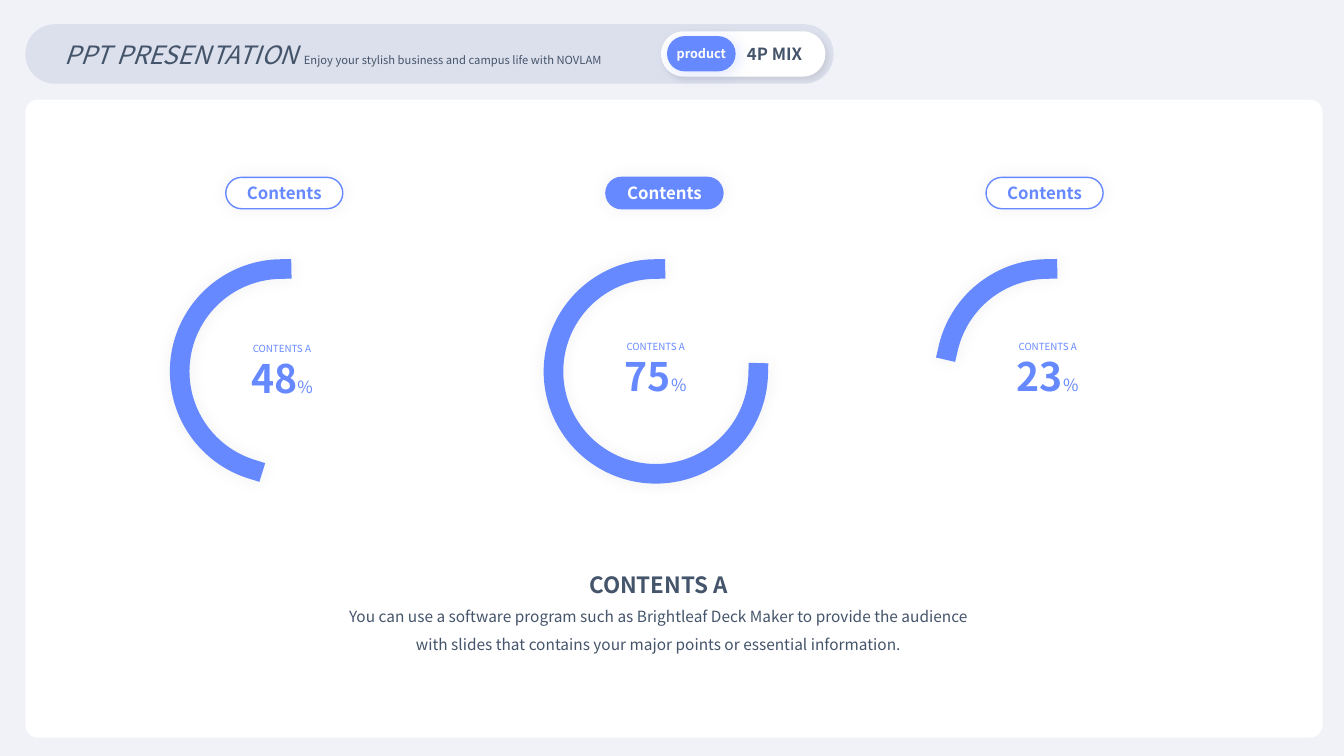
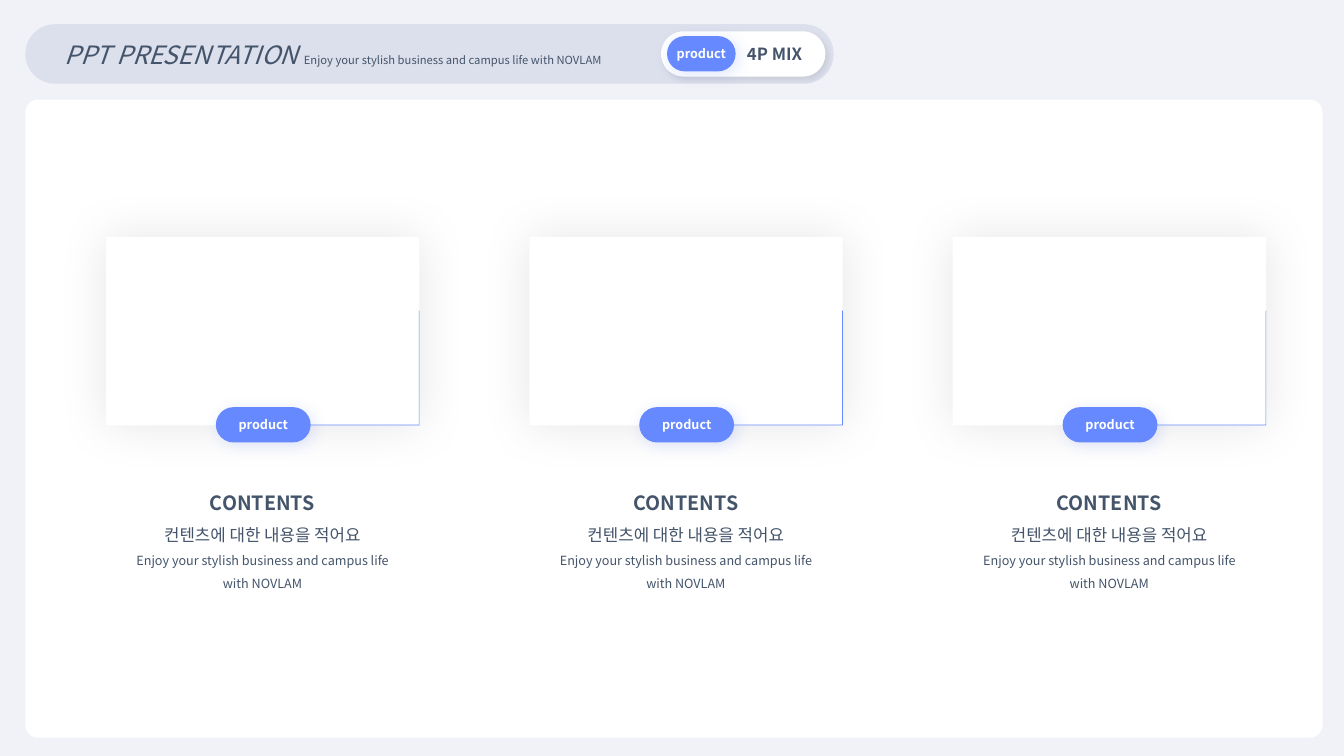
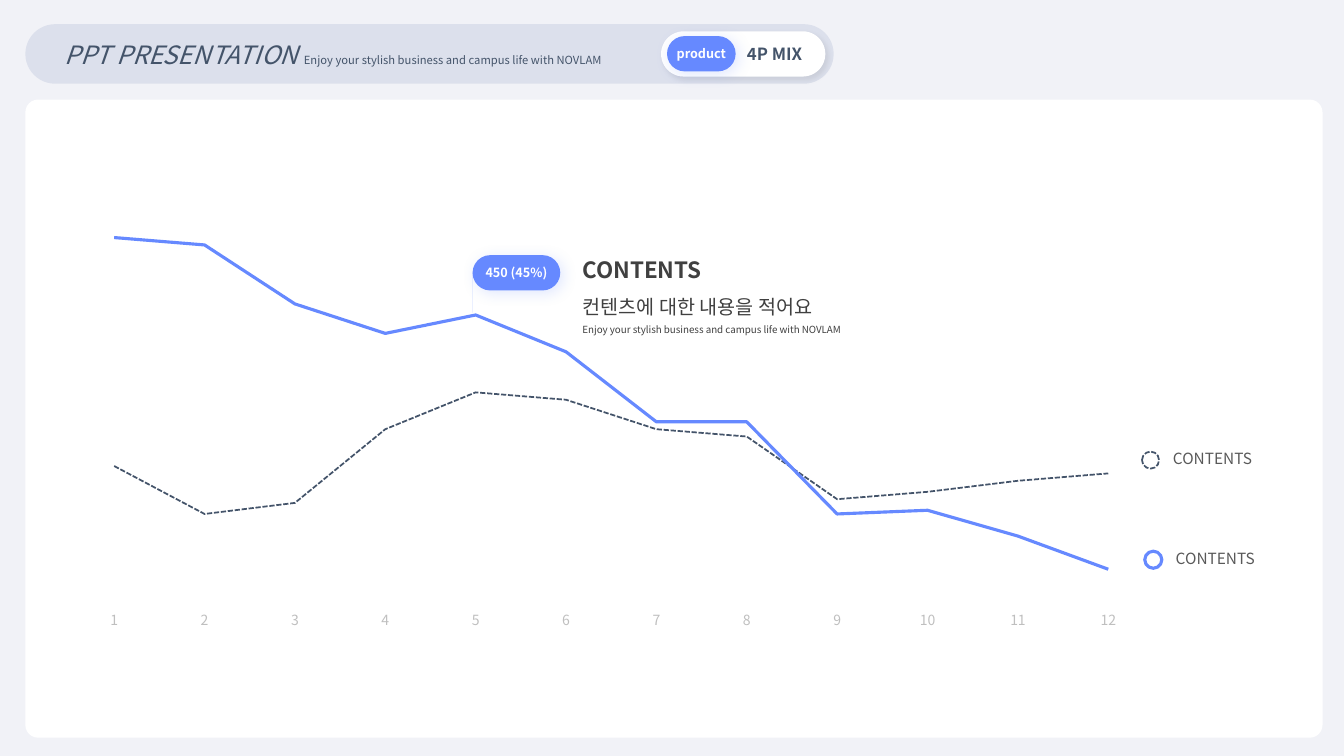
from dataclasses import dataclass
from typing import Optional, Sequence

from lxml import etree
from pptx import Presentation
from pptx import util as u
from pptx.chart import data
from pptx.dml.color import RGBColor
from pptx.enum import chart as ec
from pptx.enum import dml, shapes, text
from pptx.oxml import ns
from pptx.shapes.autoshape import Shape
from pptx.slide import Slide

BLUE = RGBColor(0x66, 0x89, 0xFF)
NAVY = RGBColor(0x44, 0x54, 0x6A)
WHITE = RGBColor(0xFF, 0xFF, 0xFF)
BLACK = RGBColor(0, 0, 0)
BACK = RGBColor(0xF1, 0xF2, 0xF7)
BAND = RGBColor(0xDC, 0xE0, 0xEC)
DARK = RGBColor(0x40, 0x40, 0x40)
GREY = RGBColor(0x59, 0x59, 0x59)
PALE = RGBColor(0xBF, 0xBF, 0xBF)
FONT = "Noto Sans CJK KR"
SLOGAN = "Enjoy your stylish business and campus life with NOVLAM"
KOREAN = "컨텐츠에 대한 내용을 적어요"
KIND = shapes.MSO_SHAPE
LEFT = text.PP_ALIGN.LEFT
CENTER = text.PP_ALIGN.CENTER
DASH = dml.MSO_LINE.SQUARE_DOT


@dataclass(frozen=True)
class Box:
    left: float
    top: float
    width: float
    height: float

    def move(self, right: float) -> "Box":
        return Box(self.left + right, self.top, self.width, self.height)

    def emu(self) -> tuple:
        return tuple(u.Cm(n) for n in (self.left, self.top, self.width, self.height))


@dataclass(frozen=True)
class Run:
    text: str
    size: float
    bold: bool = False
    slant: bool = False


@dataclass(frozen=True)
class Glow:
    ink: RGBColor
    alpha: int
    blur: float
    dist: float = 0
    angle: int = 0


@dataclass(frozen=True)
class Gauge:
    left: float
    top: float
    start: float
    value: str
    solid: bool = False


@dataclass(frozen=True)
class Trend:
    name: str
    values: tuple
    ink: RGBColor
    width: float
    left: float
    top: float
    dash: Optional[dml.MSO_LINE] = None


SOFT = Glow(BLACK, 5, 12)
HALO = Glow(BLUE, 20, 11, 3, 45)
EDGE = Glow(BLACK, 8, 4, 3, 45)
CLOUD = Glow(BLACK, 9, 36)

GAUGES = (
    Gauge(4.22, 6.48, 106.53, "48"),
    Gauge(13.64, 6.45, 0.8, "75", True),
    Gauge(23.52, 6.45, 191.97, "23"),
)
TRENDS = (
    Trend("Series 1", (38, 25, 28, 48, 58, 56, 48, 46, 29, 31, 34, 36),
          NAVY, 1.25, 28.78, 11.38, DASH),
    Trend("Series 2", (100, 98, 82, 74, 79, 69, 50, 50, 25, 26, 19, 10),
          BLUE, 2.25, 28.85, 13.89),
)


def write(shape: Shape, lines: Sequence[Sequence[Run]], *, ink: RGBColor = NAVY,
          align: text.PP_ALIGN = CENTER, space: float = 1, wrap: bool = False,
          anchor: text.MSO_ANCHOR = text.MSO_ANCHOR.MIDDLE,
          fit: text.MSO_AUTO_SIZE = text.MSO_AUTO_SIZE.NONE) -> None:
    frame = shape.text_frame
    frame.word_wrap, frame.vertical_anchor, frame.auto_size = wrap, anchor, fit
    for num, line in enumerate(lines):
        para = frame.add_paragraph() if num else frame.paragraphs[0]
        para.alignment, para.line_spacing = align, space
        for item in line:
            run = para.add_run()
            run.text = item.text
            font = run.font
            font.size, font.bold, font.italic = u.Pt(item.size), item.bold, item.slant
            font.color.rgb, font.name = ink, FONT
            asian = etree.SubElement(run._r.get_or_add_rPr(), ns.qn("a:ea"))
            asian.set("typeface", FONT)


def style(shape: Shape, *, fill: Optional[RGBColor] = None,
          line: Optional[RGBColor] = None, width: float = 1,
          dash: Optional[dml.MSO_LINE] = None, glow: Optional[Glow] = None) -> Shape:
    if fill is None:
        shape.fill.background()
    else:
        shape.fill.solid()
        shape.fill.fore_color.rgb = fill
    if line is None:
        shape.line.fill.background()
    else:
        shape.line.color.rgb = line
        shape.line.width = u.Pt(width)
        if dash is not None:
            shape.line.dash_style = dash
    shape.shadow.inherit = False
    if glow:
        host = shape._element.spPr.find(ns.qn("a:effectLst"))
        shade = etree.SubElement(host, ns.qn("a:outerShdw"), blurRad=str(u.Pt(glow.blur)),
                                 dist=str(u.Pt(glow.dist)), dir=str(glow.angle * 60000),
                                 algn="ctr", rotWithShape="0")
        tint = etree.SubElement(shade, ns.qn("a:srgbClr"), val=str(glow.ink))
        etree.SubElement(tint, ns.qn("a:alpha"), val=str(glow.alpha * 1000))
    return shape


def draw(slide: Slide, kind: KIND, box: Box, adjust: Sequence[float] = (), **look) -> Shape:
    shape = slide.shapes.add_shape(kind, *box.emu())
    for num, value in enumerate(adjust):
        shape.adjustments[num] = value
    return style(shape, **look)


def pill(slide: Slide, box: Box, **look) -> Shape:
    return draw(slide, KIND.ROUNDED_RECTANGLE, box, (0.5,), **look)


def badge(slide: Slide, box: Box, label: str) -> None:
    shape = pill(slide, box, fill=BLUE, glow=HALO)
    write(shape, [[Run(label, 9, True)]], ink=WHITE)


def note(slide: Slide, box: Box, lines: Sequence[Sequence[Run]], **look) -> None:
    look = {"wrap": True, "space": 1.5, **look}
    write(slide.shapes.add_textbox(*box.emu()), lines, anchor=text.MSO_ANCHOR.TOP,
          fit=text.MSO_AUTO_SIZE.SHAPE_TO_FIT_TEXT, **look)


def start(deck: Presentation) -> Slide:
    slide = deck.slides.add_slide(deck.slide_layouts.get_by_name("Title Only"))
    draw(slide, KIND.ROUNDED_RECTANGLE, Box(0.64, 2.51, 32.69, 16.08), (0.02,), fill=WHITE)
    band = Box(0.64, 0.61, 20.37, 1.5)
    pill(slide, band, fill=BAND)
    title = slide.shapes.title
    title.left, title.top, title.width, title.height = band.emu()
    title.text_frame.margin_left = u.Cm(0.98)
    write(title, [[Run("PPT PRESENTATION ", 18, slant=True), Run(SLOGAN, 8)]],
          align=LEFT, wrap=True)
    slide.shapes._spTree.append(title._element)
    topic = pill(slide, Box(16.66, 0.79, 4.14, 1.14), fill=WHITE, glow=EDGE)
    topic.text_frame.margin_left = u.Cm(2)
    topic.text_frame.margin_right = 0
    write(topic, [[Run("4P MIX", 12, True)]], align=LEFT, wrap=True)
    badge(slide, Box(16.81, 0.91, 1.73, 0.89), "product")
    return slide


def gauges(deck: Presentation) -> None:
    slide = start(deck)
    for num, item in enumerate(GAUGES):
        ring = draw(slide, KIND.DONUT, Box(item.left, item.top, 5.77, 5.77), (0.09,),
                    fill=WHITE)
        write(ring, [[Run("CONTENTS A", 7)], [Run(item.value, 28, True), Run("%", 12)]],
              ink=BLUE)
        arc = draw(slide, KIND.ARC, Box(item.left + 0.31, 6.78, 5.16, 5.16),
                   (item.start * 0.6, 269.74 * 0.6), line=BLUE, width=14, glow=SOFT)
        arc.line._ln.set("cap", "sq")
        label = pill(slide, Box(5.69, 4.47, 2.95, 0.79).move(num * 9.58),
                     fill=BLUE if item.solid else WHITE, line=BLUE, glow=SOFT)
        write(label, [[Run("Contents", 12, True)]], ink=WHITE if item.solid else BLUE)
    body = ("You can use a software program such as Brightleaf Deck Maker to provide "
            "the audience with slides that contains your major points or essential "
            "information.")
    note(slide, Box(8.13, 13.92, 16.94, 2.69),
         [[Run("CONTENTS A", 16, True)], [Run(body, 11)]])


def panels(deck: Presentation) -> None:
    slide = start(deck)
    for num in range(3):
        step = num * 10.67
        draw(slide, KIND.RECTANGLE, Box(2.67, 5.97, 7.9, 4.75).move(step),
             fill=WHITE, glow=CLOUD)
        note(slide, Box(2.92, 11.96, 7.39, 3.07).move(step),
             [[Run("CONTENTS", 14, True)], [Run(KOREAN, 12)], [Run(SLOGAN, 9)]])
        corner = draw(slide, KIND.HALF_FRAME, Box(7.67, 7.82, 2.9, 2.9).move(step),
                      (0.006, 0.006), fill=BLUE)
        corner.rotation = 180
        badge(slide, Box(5.44, 10.26, 2.39, 0.89).move(step), "product")


def plot(slide: Slide, box: Box) -> None:
    table = data.CategoryChartData(number_format="0")
    table.categories = [str(num) for num in range(1, 13)]
    for trend in TRENDS:
        table.add_series(trend.name, trend.values)
    chart = slide.shapes.add_chart(ec.XL_CHART_TYPE.LINE, *box.emu(), table).chart
    chart.has_legend = chart.has_title = False
    chart.font.size, chart.font.name = u.Pt(10), FONT
    chart.font.color.rgb = PALE
    across, up = chart.category_axis, chart.value_axis
    across.major_tick_mark = across.minor_tick_mark = ec.XL_TICK_MARK.NONE
    across.has_major_gridlines = up.has_major_gridlines = False
    across.format.line.fill.background()
    up.minimum_scale, up.maximum_scale, up.visible = 0, 110, False
    chart.plots[0].vary_by_categories = False
    for trend, series in zip(TRENDS, chart.plots[0].series):
        series.smooth = False
        series.marker.style = ec.XL_MARKER_STYLE.NONE
        line = series.format.line
        line.color.rgb, line.width = trend.ink, u.Pt(trend.width)
        if trend.dash is not None:
            line.dash_style = trend.dash
    area = chart._chartSpace.chart.plotArea
    for old in area.findall(ns.qn("c:layout")):
        area.remove(old)
    layout = etree.Element(ns.qn("c:layout"))
    manual = etree.SubElement(layout, ns.qn("c:manualLayout"))
    for tag, value in (("layoutTarget", "inner"), ("xMode", "edge"), ("yMode", "edge"),
                       ("x", "0.02"), ("y", "0.04"), ("w", "0.96"), ("h", "0.89")):
        etree.SubElement(manual, ns.qn(f"c:{tag}"), val=value)
    area.insert(0, layout)


def trends(deck: Presentation) -> None:
    slide = start(deck)
    plot(slide, Box(1.17, 4.6, 28.47, 11.48))
    for item in TRENDS:
        draw(slide, KIND.OVAL, Box(item.left, item.top, 0.43, 0.43),
             line=item.ink, width=item.width, dash=item.dash)
        note(slide, Box(item.left + 0.53, item.top - 0.18, 2.72, 0.74),
             [[Run("CONTENTS", 11)]], ink=GREY, align=LEFT, space=1, wrap=False)
    note(slide, Box(14.43, 5.99, 7.21, 2.64),
         [[Run("CONTENTS", 16, True)], [Run(KOREAN, 14)], [Run(SLOGAN, 7)]],
         ink=DARK, align=LEFT)
    tail = slide.shapes.build_freeform(0, 0, scale=u.Cm(1))
    tail.add_line_segments([(0.86, 0), (0.43, 0.43), (0.28, 0.46), (0.14, 0.57),
                            (0.05, 0.71), (0, 0.89)])
    style(tail.convert_to_shape(u.Cm(11.91), u.Cm(6.88)), fill=BLUE, glow=HALO)
    badge(slide, Box(11.91, 6.43, 2.21, 0.89), "450 (45%)")


def main() -> None:
    deck = Presentation()
    deck.slide_width, deck.slide_height = u.Cm(33.87), u.Cm(19.05)
    back = deck.slide_master.background.fill
    back.solid()
    back.fore_color.rgb = BACK
    gauges(deck)
    panels(deck)
    trends(deck)
    deck.save("out.pptx")


main()
